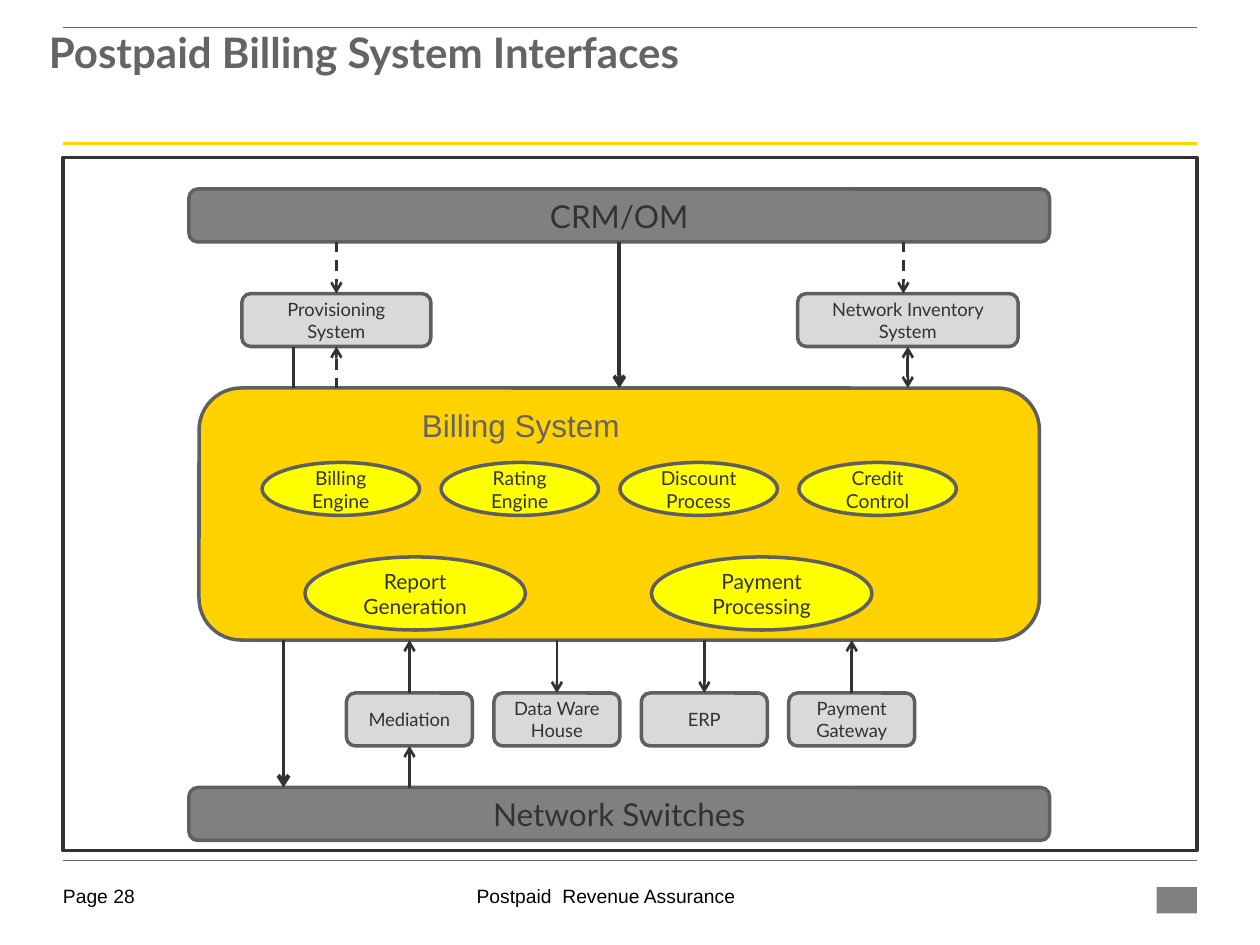
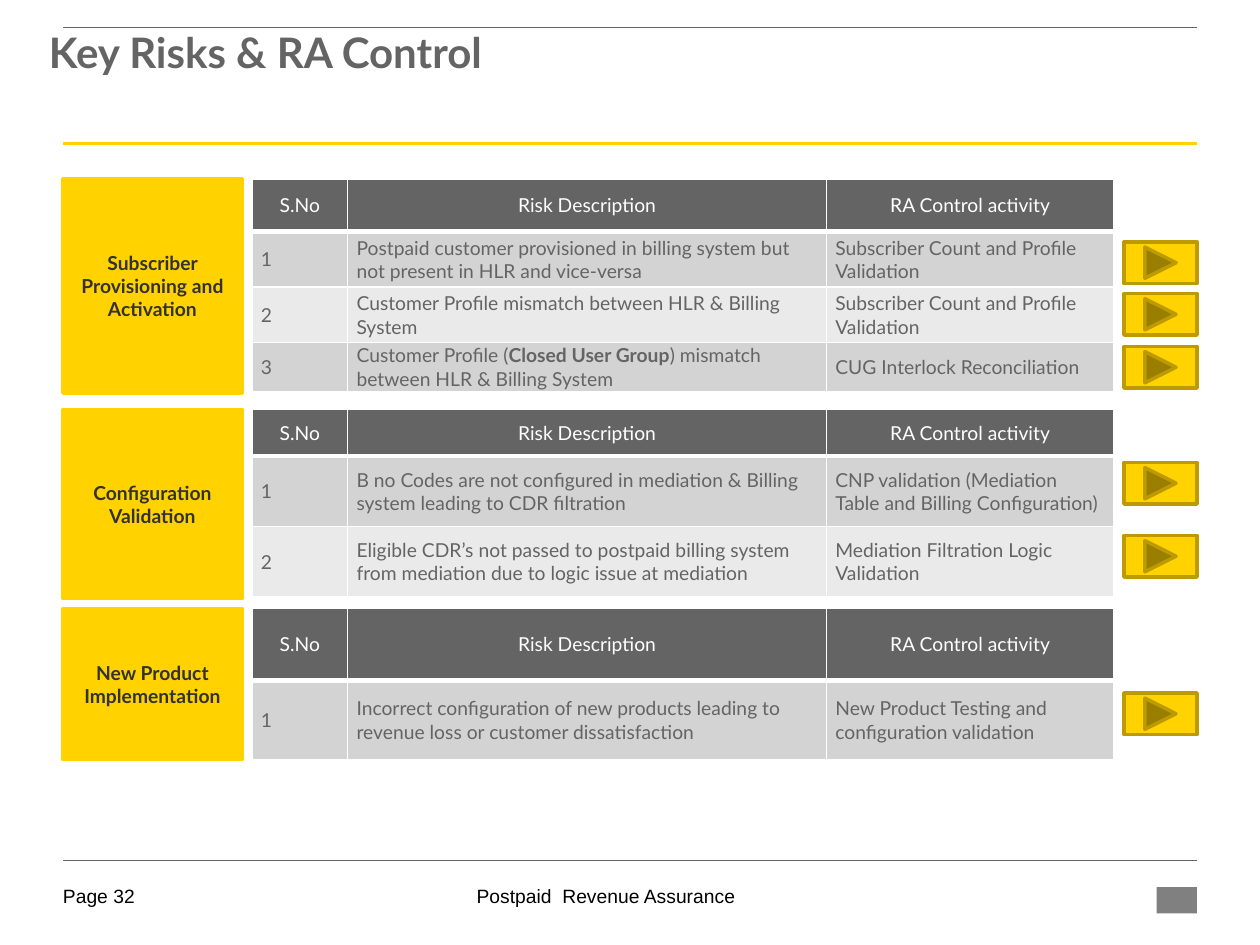
from lxml import etree
from pptx import Presentation
from pptx.dml.color import RGBColor
from pptx.enum.dml import MSO_LINE
from pptx.enum.shapes import MSO_CONNECTOR, MSO_SHAPE
from pptx.enum.text import MSO_ANCHOR, PP_ALIGN
from pptx.oxml.ns import qn
from pptx.util import Inches, Pt

YELLOW, BRIGHT, GOLD = "FFD200", "FFFF00", "BD9B00"
INK, SLATE, OUTLINE = "323232", "646464", "5F5F5F"
GREY, PALE, BLACK, WHITE = "808080", "D9D9D9", "000000", "FFFFFF"
BANDS = ("D3D3D3", "EAEAEA")
TOP, BOTTOM = 0, 2
NO_INSETS = dict.fromkeys(
    ("margin_left", "margin_top", "margin_right", "margin_bottom"), 0)
CELL_FORMAT = {"margin_left": Inches(0.07), "margin_right": Inches(0.07),
               "margin_top": 0, "margin_bottom": 0,
               "vertical_anchor": MSO_ANCHOR.MIDDLE}


def rgb(value):
    return RGBColor.from_string(value)


def apply(target, formats):
    for name, value in formats.items():
        setattr(target, name, value)


def write(frame, text, size, color, font="Lato", bold=False, align=None):
    """Fill a frame with one paragraph; *stars* surround bold words."""
    paragraph = frame.paragraphs[0]
    paragraph.alignment = align
    for index, part in enumerate(text.split("*")):
        run = paragraph.add_run()
        run.text = part
        apply(run.font, {"name": font, "size": Pt(size),
                         "bold": bold or index % 2 == 1})
        run.font.color.rgb = rgb(color)
    return paragraph


def add_label(slide, box, text, size, color, insets=None, **style):
    frame = slide.shapes.add_textbox(*map(Inches, box)).text_frame
    apply(frame, {"word_wrap": True, **(insets or {})})
    return write(frame, text, size, color, **style)


def add_block(slide, kind, box, fill, line, text="", size=11, bold=False):
    block = slide.shapes.add_shape(kind, *map(Inches, box))
    block.shadow.inherit = False
    if fill:
        block.fill.solid()
        block.fill.fore_color.rgb = rgb(fill)
    else:
        block.fill.background()
    if line:
        block.line.color.rgb = rgb(line)
        block.line.width = Pt(2)
    else:
        block.line.fill.background()
    if text:
        apply(block.text_frame, {"word_wrap": True,
                                 "vertical_anchor": MSO_ANCHOR.MIDDLE})
        write(block.text_frame, text, size, INK, bold=bold, align=PP_ALIGN.CENTER)
    return block


def add_line(slide, start, end, color, width):
    line = slide.shapes.add_connector(MSO_CONNECTOR.STRAIGHT, *start, *end)
    line.line.color.rgb = rgb(color)
    line.line.width = Pt(width)
    etree.SubElement(line._element.spPr, qn("a:effectLst"))
    return line


def add_flow(slide, upper, lower, x=None, heads="down", width=1.5, dashed=False):
    """Draw a vertical flow between two blocks, by default at the narrower one's middle."""
    def middle(block):
        return block.left + block.width // 2

    if x is None:
        x = middle(min(upper, lower, key=lambda block: block.width))
    ends = [(upper, BOTTOM, upper.top + upper.height), (lower, TOP, lower.top)]
    if heads == "up":
        ends.reverse()
    flow = add_line(slide, (x, ends[0][2]), (x, ends[1][2]), INK, width)
    for (block, site, _), connect in zip(ends, (flow.begin_connect, flow.end_connect)):
        if abs(middle(block) - x) < Inches(0.02):
            connect(block, site)
    if dashed:
        flow.line.dash_style = MSO_LINE.DASH
    tags = {"none": (), "both": ("a:headEnd", "a:tailEnd")}.get(heads, ("a:tailEnd",))
    for tag in tags:
        etree.SubElement(flow.line._get_or_add_ln(), qn(tag), type="arrow")


def add_page(prs, title, number):
    """Start a slide with the shared title, rules and footer."""
    slide = prs.slides.add_slide(prs.slide_layouts[6])
    for y, color, width in ((0.22, SLATE, 0.5), (1.14, YELLOW, 1.5), (6.83, SLATE, 0.25)):
        add_line(slide, (Inches(0.5), Inches(y)), (Inches(9.5), Inches(y)), color, width)
    heading = add_label(slide, (0.29, 0.22, 9.5, 0.94), title, 24, SLATE, bold=True)
    heading.line_spacing = 0.85
    add_label(slide, (0.5, 7.02, 0.73, 0.22), f"Page {number}", 11, BLACK,
              NO_INSETS, font="Arial")
    add_label(slide, (2.75, 7.02, 4.12, 0.23), "Postpaid  Revenue Assurance", 11, BLACK,
              NO_INSETS, font="Arial", align=PP_ALIGN.CENTER)
    # Plain emblem
    add_block(slide, MSO_SHAPE.RECTANGLE, (9.18, 7.04, 0.32, 0.21), GREY, None)
    return slide


def add_interfaces(slide, left, top, width, height):
    """Draw the billing system and its neighbours inside a frame."""
    def node(kind, x, y, w, h, fill, text="", size=10.5):
        return add_block(slide, kind, (left + x, top + y, w, h), fill, OUTLINE, text, size)

    rounded, oval = MSO_SHAPE.ROUNDED_RECTANGLE, MSO_SHAPE.OVAL
    # Outer systems
    crm = node(rounded, 1, 0.25, 6.83, 0.42, GREY, "CRM/OM", 18)
    switches = node(rounded, 1, 5, 6.83, 0.42, GREY, "Network Switches", 18)
    provisioning = node(rounded, 1.42, 1.08, 1.5, 0.42, PALE, "Provisioning System")
    inventory = node(rounded, 5.83, 1.08, 1.75, 0.42, PALE, "Network Inventory System")

    # Billing system and its functions
    billing = node(rounded, 1.08, 1.83, 6.67, 2, YELLOW)
    add_label(slide, (left + 2.75, top + 1.92, 2.08, 0.4), "Billing System", 18, SLATE,
              font="Arial")
    engines = ("Billing Engine", "Rating Engine", "Discount Process", "Credit Control")
    for i, name in enumerate(engines):
        node(oval, 1.58 + 1.42 * i, 2.42, 1.25, 0.42, BRIGHT, name, 11)
    for i, name in enumerate(("Report Generation", "Payment Processing")):
        node(oval, 1.92 + 2.75 * i, 3.17, 1.75, 0.58, BRIGHT, name, 12)

    # Systems below billing
    feeds = (("Mediation", "up"), ("Data Ware House", "down"),
             ("ERP", "down"), ("Payment Gateway", "up"))
    for i, (name, heads) in enumerate(feeds):
        feed = node(rounded, 2.25 + 1.17 * i, 4.25, 1, 0.42, PALE, name)
        add_flow(slide, billing, feed, heads=heads)
        if name == "Mediation":
            add_flow(slide, feed, switches, heads="up")

    # Flows between the larger systems
    add_flow(slide, crm, provisioning, dashed=True)
    add_flow(slide, crm, billing, width=2.25)
    add_flow(slide, crm, inventory, Inches(left + 6.67), dashed=True)
    add_flow(slide, provisioning, billing, Inches(left + 1.83), heads="none")
    add_flow(slide, provisioning, billing, heads="up", dashed=True)
    add_flow(slide, inventory, billing, heads="both")
    add_flow(slide, billing, switches, Inches(left + 1.75), width=2.25)
    add_block(slide, MSO_SHAPE.RECTANGLE, (left, top, width, height), None, INK)


def format_cell(cell, text, fill, color, align, bottom):
    apply(cell, CELL_FORMAT)
    cell.fill.solid()
    cell.fill.fore_color.rgb = rgb(fill)
    write(cell.text_frame, text, 11, color, align=align)
    borders = (("a:lnL", 1), ("a:lnR", 1), ("a:lnT", 1), ("a:lnB", bottom))
    for index, (tag, width) in enumerate(borders):
        border = etree.Element(qn(tag), w=str(Pt(width)))
        paint = etree.SubElement(border, qn("a:solidFill"))
        etree.SubElement(paint, qn("a:srgbClr"), val=WHITE)
        cell._tc.get_or_add_tcPr().insert(index, border)


def add_risk_section(slide, left, top, width, height, topic, row_heights, risks):
    """Place a topic, its risk table and one forward button for each risk."""
    add_block(slide, MSO_SHAPE.RECTANGLE, (left, top, 1.42, height), YELLOW, YELLOW,
              topic, bold=True)
    table = slide.shapes.add_table(
        len(risks) + 1, 3, *map(Inches, (left + 1.5, top, 6.83, height))).table
    for column, column_width in zip(table.columns, (0.76, 3.8, 2.28)):
        column.width = Inches(column_width)
    for row, row_height in zip(table.rows, row_heights):
        row.height = Inches(row_height)

    for cell, heading in zip(table.rows[0].cells,
                             ("S.No", "Risk Description", "RA Control activity")):
        format_cell(cell, heading, SLATE, WHITE, PP_ALIGN.CENTER, 3)
    for number, (risk, control, button_top) in enumerate(risks, 1):
        for cell, text in zip(table.rows[number].cells, (str(number), risk, control)):
            format_cell(cell, text, BANDS[(number - 1) % 2], SLATE, PP_ALIGN.LEFT, 1)
        add_block(slide, MSO_SHAPE.ACTION_BUTTON_FORWARD_OR_NEXT,
                  (left + width - 0.58, top + button_top, 0.58, 0.33), YELLOW, GOLD)


# Top, height, topic, row heights, (risk, control, button offset)
RISK_SECTIONS = (
    (1.42, 1.7, "Subscriber Provisioning and Activation", (0.42, 0.44, 0.44, 0.39), (
        ("Postpaid customer provisioned in billing system but not present in HLR "
         "and vice-versa", "Subscriber Count and Profile Validation", 0.5),
        ("Customer Profile mismatch between HLR & Billing System",
         "Subscriber Count and Profile Validation", 0.91),
        ("Customer Profile (*Closed User Group*) mismatch between HLR & Billing System",
         "CUG Interlock Reconciliation", 1.33))),
    (3.25, 1.5, "Configuration Validation", (0.37, 0.56, 0.56), (
        ("B no Codes are not configured in mediation & Billing system leading to "
         "CDR filtration",
         "CNP validation (Mediation Table and Billing Configuration)", 0.42),
        ("Eligible CDR’s not passed to postpaid billing system from mediation due to "
         "logic issue at mediation", "Mediation Filtration Logic Validation", 1))),
    (4.83, 1.2, "New Product Implementation", (0.57, 0.63), (
        ("Incorrect configuration of new products leading to revenue loss or customer "
         "dissatisfaction", "New Product Testing and configuration validation", 0.67),)),
)


def main():
    prs = Presentation()
    prs.slide_width, prs.slide_height = Inches(10), Inches(7.5)

    interfaces = add_page(prs, "Postpaid Billing System Interfaces", 28)
    add_interfaces(interfaces, 0.5, 1.25, 9, 5.5)

    key_risks = add_page(prs, "Key Risks & RA Control", 32)
    for top, height, *content in RISK_SECTIONS:
        add_risk_section(key_risks, 0.5, top, 9, height, *content)

    prs.save("out.pptx")


if __name__ == "__main__":
    main()
